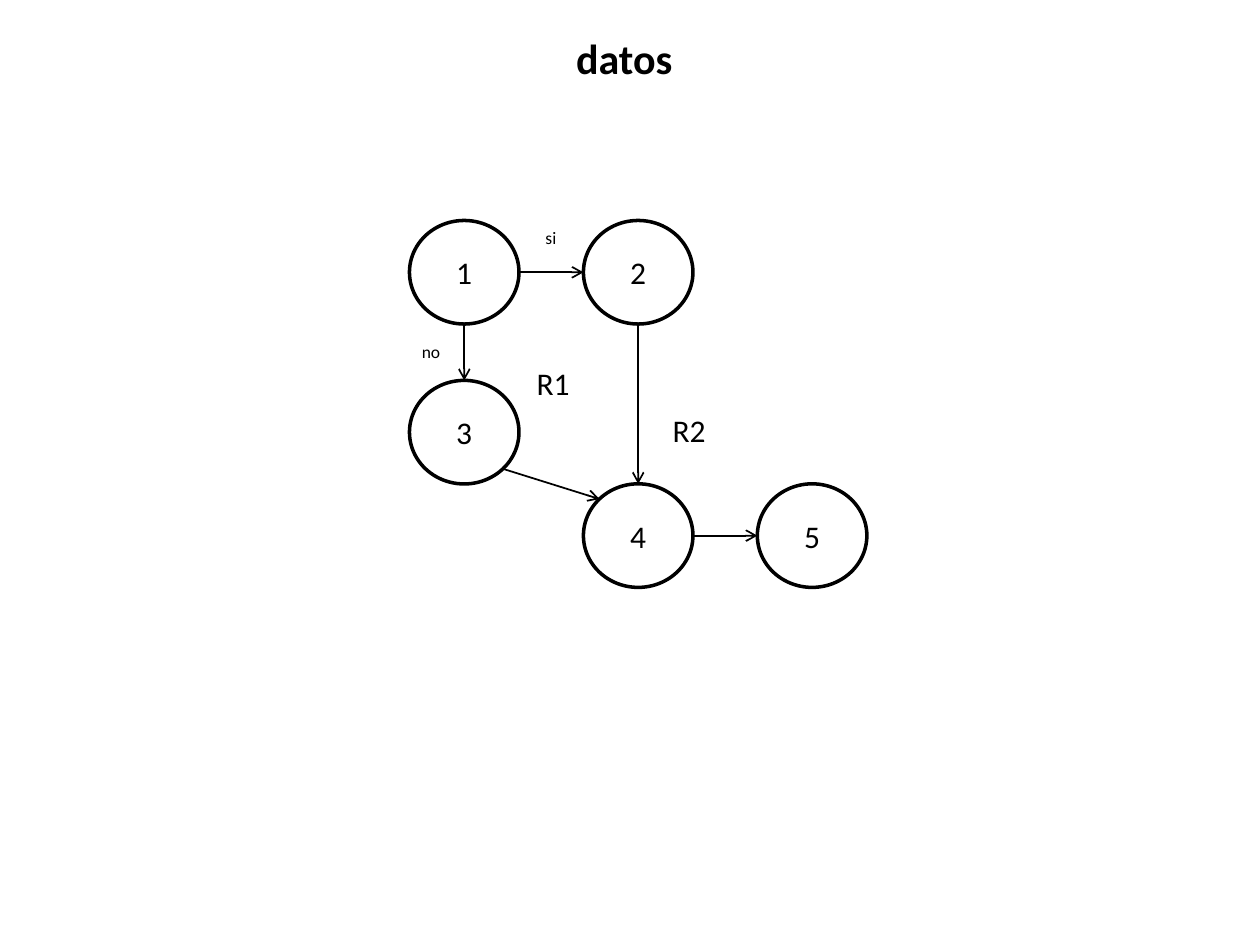
import math
from dataclasses import dataclass

import lxml.etree
import pptx
import pptx.dml.color
import pptx.enum.shapes
import pptx.enum.text
import pptx.oxml.ns
import pptx.util

Pt = pptx.util.Pt
Align = pptx.enum.text.PP_ALIGN
Anchor = pptx.enum.text.MSO_ANCHOR


@dataclass(frozen=True)
class Theme:
    ink: pptx.dml.color.RGBColor = pptx.dml.color.RGBColor(0, 0, 0)
    font: str = "Calibri"
    title_size: float = 24
    body_size: float = 18
    label_size: float = 10
    node_line: float = 2
    arrow_line: float = 1


THEME = Theme()

# Graph geometry in points, relative to the graph's box
NODE_WIDTH, NODE_HEIGHT = 62.6, 59.2
COLUMN_PITCH = 99.4
ROWS = (0, 91.4, 150.5)
NODES = {"1": (0, 0), "3": (0, 1), "4": (1, 2), "2": (1, 0), "5": (2, 2)}

# Directions from a node's centre to its rim
DIAGONAL = math.sqrt(0.5)
SIDES = {
    "top": (0, -1), "bottom": (0, 1), "left": (-1, 0), "right": (1, 0),
    "top left": (-DIAGONAL, -DIAGONAL), "bottom right": (DIAGONAL, DIAGONAL),
}
EDGES = (
    ("1", "right", "2", "left"),
    ("1", "bottom", "3", "top"),
    ("2", "bottom", "4", "top"),
    ("3", "bottom right", "4", "top left"),
    ("4", "right", "5", "left"),
)
# Text, left, top, width, height, type size
LABELS = (
    ("R1", 65.5, 78.5, 34, 29, THEME.body_size),
    ("R2", 143.3, 105.1, 34, 29, THEME.body_size),
    ("si", 70.6, 0, 21, 19.4, THEME.label_size),
    ("no", 0, 65.5, 25, 19.4, THEME.label_size),
)


def write_text(shape, text, size, alignment, bold=False):
    shape.text_frame.text = text
    paragraph = shape.text_frame.paragraphs[0]
    paragraph.alignment = alignment
    font = paragraph.runs[0].font
    font.name, font.size, font.bold = THEME.font, Pt(size), bold
    font.color.rgb = THEME.ink


def add_title(slide, left, top, width, height):
    title = slide.shapes.title
    title.left, title.top = Pt(left), Pt(top)
    title.width, title.height = Pt(width), Pt(height)
    title.text_frame.vertical_anchor = Anchor.MIDDLE
    write_text(title, "datos", THEME.title_size, Align.CENTER, bold=True)


def add_node(slide, text, left, top):
    node = slide.shapes.add_shape(
        pptx.enum.shapes.MSO_SHAPE.OVAL,
        Pt(left), Pt(top), Pt(NODE_WIDTH), Pt(NODE_HEIGHT))
    node.shadow.inherit = False
    node.fill.background()
    node.line.color.rgb = THEME.ink
    node.line.width = Pt(THEME.node_line)
    node.text_frame.vertical_anchor = Anchor.MIDDLE
    write_text(node, text, THEME.body_size, Align.CENTER)


def add_arrow(slide, start, end):
    arrow = slide.shapes.add_connector(
        pptx.enum.shapes.MSO_CONNECTOR.STRAIGHT,
        *(Pt(value) for value in (*start, *end)))
    arrow.line.color.rgb = THEME.ink
    arrow.line.width = Pt(THEME.arrow_line)
    qn = pptx.oxml.ns.qn
    properties = arrow._element.spPr
    lxml.etree.SubElement(properties.find(qn("a:ln")), qn("a:tailEnd"), type="arrow")
    lxml.etree.SubElement(properties, qn("a:effectLst"))


def add_label(slide, text, left, top, width, height, size):
    label = slide.shapes.add_textbox(Pt(left), Pt(top), Pt(width), Pt(height))
    label.text_frame.word_wrap = False
    label.text_frame.auto_size = pptx.enum.text.MSO_AUTO_SIZE.SHAPE_TO_FIT_TEXT
    write_text(label, text, size, Align.LEFT)


def add_graph(slide, left, top):
    def corner(name):
        column, row = NODES[name]
        return left + column * COLUMN_PITCH, top + ROWS[row]

    def rim(name, side):
        node_left, node_top = corner(name)
        across, down = SIDES[side]
        return (node_left + NODE_WIDTH / 2 * (1 + across),
                node_top + NODE_HEIGHT / 2 * (1 + down))

    # Nodes
    for name in NODES:
        add_node(slide, name, *corner(name))
    # Arrows
    for source, source_side, target, target_side in EDGES:
        add_arrow(slide, rim(source, source_side), rim(target, target_side))
    # Region and branch labels
    for text, label_left, label_top, width, height, size in LABELS:
        add_label(slide, text, left + label_left, top + label_top, width, height, size)


presentation = pptx.Presentation()
presentation.slide_width, presentation.slide_height = Pt(720), Pt(540)
slide = presentation.slides.add_slide(presentation.slide_layouts.get_by_name("Title Only"))
add_title(slide, 75.6, 15.1, 562.3, 36)
add_graph(slide, 234, 126)
presentation.save("out.pptx")
